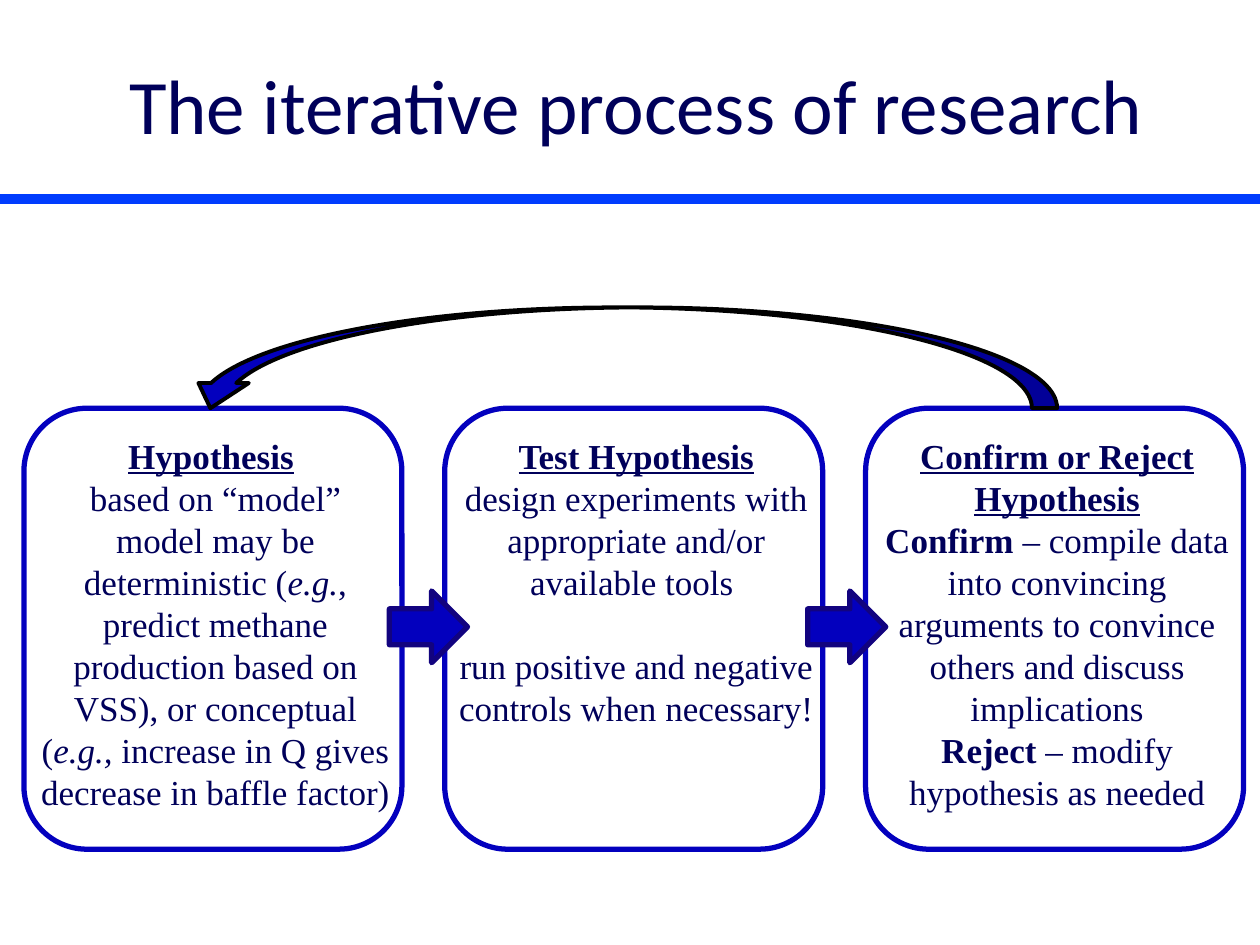
"""Build a slide on the iterative process of research."""
from dataclasses import dataclass

from lxml import etree
from pptx import Presentation
from pptx.dml.color import RGBColor as RGB
from pptx.enum.shapes import MSO_CONNECTOR as CONN, MSO_SHAPE as SHAPE
from pptx.enum.text import MSO_ANCHOR as ANCHOR, MSO_AUTO_SIZE as FIT, PP_ALIGN as ALIGN
from pptx.oxml.ns import qn
from pptx.util import Inches, Pt


@dataclass(frozen=True)
class Theme:
    text: RGB = RGB.from_string("00005A")
    rule: RGB = RGB.from_string("003CFE")
    blue: RGB = RGB.from_string("0300BE")
    arrow_edge: RGB = RGB.from_string("12037F")
    loop_edge: RGB = RGB.from_string("000000")
    title_font: str = "Calibri"
    body_font: str = "Times New Roman"
    title_size: int = 44
    body_size: int = 20
    gap: int = 24


THEME = Theme()

STAGES = [
    [
        [("Hypothesis", "bu"), (" ", "")],
        [("based on “model”", "")],
        [
            ("model may be deterministic (", ""),
            ("e.g.", "i"),
            (", predict methane production based on VSS), or conceptual (", ""),
            ("e.g., ", "i"),
            ("increase in Q gives decrease in baffle factor)", ""),
        ],
    ],
    [
        [("Test Hypothesis", "bu")],
        [("design experiments with appropriate and/or available tools ", "")],
        [("run positive and negative controls when necessary!", "")],
    ],
    [
        [("Confirm or Reject Hypothesis", "bu")],
        [
            ("Confirm", "b"),
            (" – compile data into convincing arguments to convince others and discuss implications", ""),
        ],
        [("Reject", "b"), (" – modify hypothesis as needed", "")],
    ],
]
TEXT_HEIGHTS = [3.47, 2.46, 3.13]
STAGE_LEFT, STAGE_STEP = 0.19, 3.34


def box(*lengths):
    return [Inches(n) for n in lengths]


def add_run(p, text, font, size, style=""):
    r = p.add_run()
    r.text = text
    r.font.name, r.font.size = font, Pt(size)
    r.font.color.rgb = THEME.text
    r.font.bold, r.font.italic, r.font.underline = ("b" in style, "i" in style, "u" in style)


def set_title(slide, text):
    title = slide.shapes.title
    title.left, title.top, title.width, title.height = box(0.55, 0.2, 9, 1.25)
    tf = title.text_frame
    tf.vertical_anchor = ANCHOR.MIDDLE
    p = tf.paragraphs[0]
    p.alignment = ALIGN.CENTER
    add_run(p, text, THEME.title_font, THEME.title_size)


def add_rule(slide, y):
    line = slide.shapes.add_connector(CONN.STRAIGHT, *box(0, y, 10, y))
    line.line.color.rgb = THEME.rule
    line.line.width = Pt(6)
    etree.SubElement(line._element.spPr, qn("a:effectLst"))


def add_shape(slide, kind, at, edge, width=3, fill=None):
    sp = slide.shapes.add_shape(kind, *box(*at))
    sp.shadow.inherit = False
    if fill is None:
        sp.fill.background()
    else:
        sp.fill.solid()
        sp.fill.fore_color.rgb = fill
    sp.line.color.rgb = edge
    sp.line.width = Pt(width)
    return sp


def add_text(slide, at, paragraphs):
    tf = slide.shapes.add_textbox(*box(*at)).text_frame
    tf.word_wrap = True
    tf.auto_size = FIT.SHAPE_TO_FIT_TEXT
    for i, runs in enumerate(paragraphs):
        p = tf.add_paragraph() if i else tf.paragraphs[0]
        p.alignment = ALIGN.CENTER
        for text, style in runs:
            add_run(p, text, THEME.body_font, THEME.body_size, style)
    return tf


def add_stage(slide, left, height, paragraphs):
    add_shape(slide, SHAPE.ROUNDED_RECTANGLE, (left, 3.24, 3, 3.5), THEME.blue)
    return add_text(slide, (left, 3.4, 3.04, height), paragraphs)


def add_loop(slide):
    loop = add_shape(slide, SHAPE.CURVED_DOWN_ARROW, (1.47, 2.44, 6.92, 0.8),
                     THEME.loop_edge, 2.25, THEME.blue)
    loop._element.spPr.get_or_add_xfrm().set("flipH", "1")


def main():
    prs = Presentation()
    prs.slide_width, prs.slide_height = box(10, 7.5)
    slide = prs.slides.add_slide(prs.slide_layouts[5])
    add_rule(slide, 1.58)
    set_title(slide, "The iterative process of research")
    frames = [
        add_stage(slide, STAGE_LEFT + i * STAGE_STEP, height, paragraphs)
        for i, (height, paragraphs) in enumerate(zip(TEXT_HEIGHTS, STAGES))
    ]
    frames[1].paragraphs[2].space_before = Pt(THEME.gap)
    for left in (3.09, 6.41):
        add_shape(slide, SHAPE.RIGHT_ARROW, (left, 4.69, 0.62, 0.57),
                  THEME.arrow_edge, fill=THEME.blue)
    add_loop(slide)
    prs.save("out.pptx")


main()
